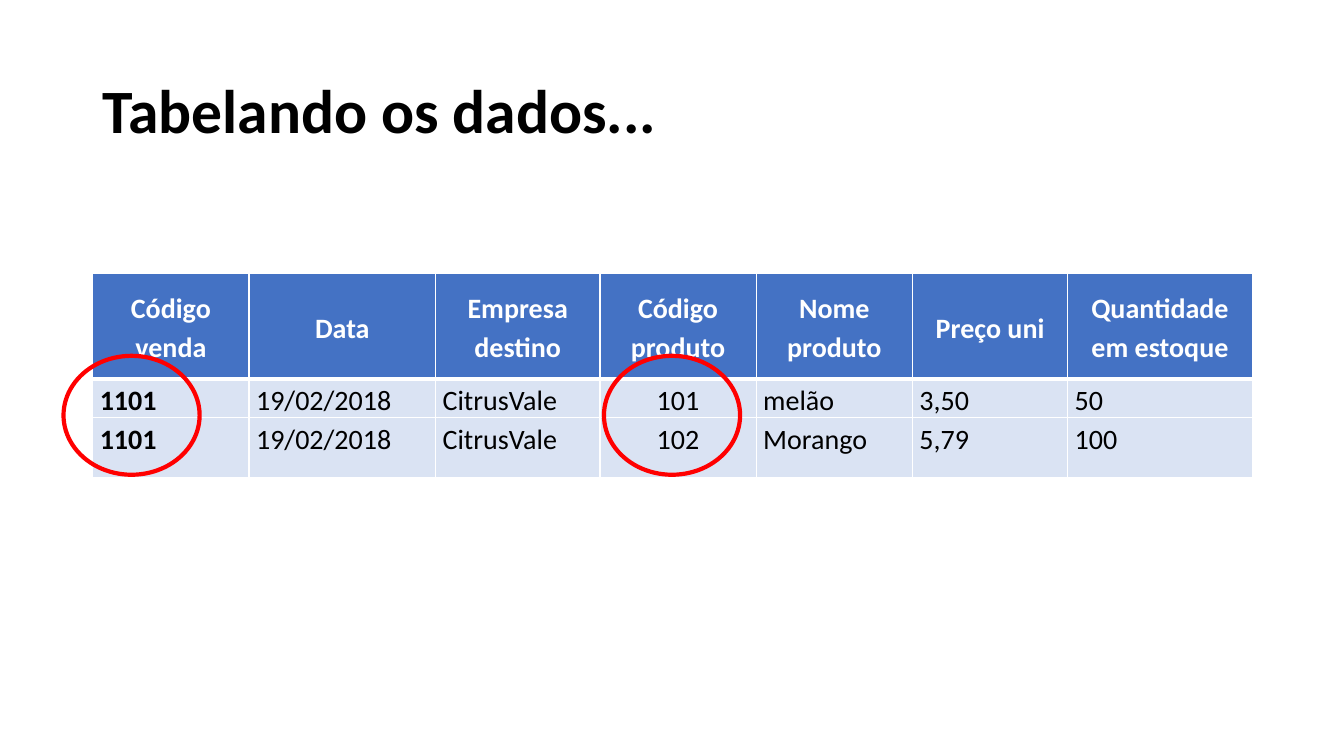
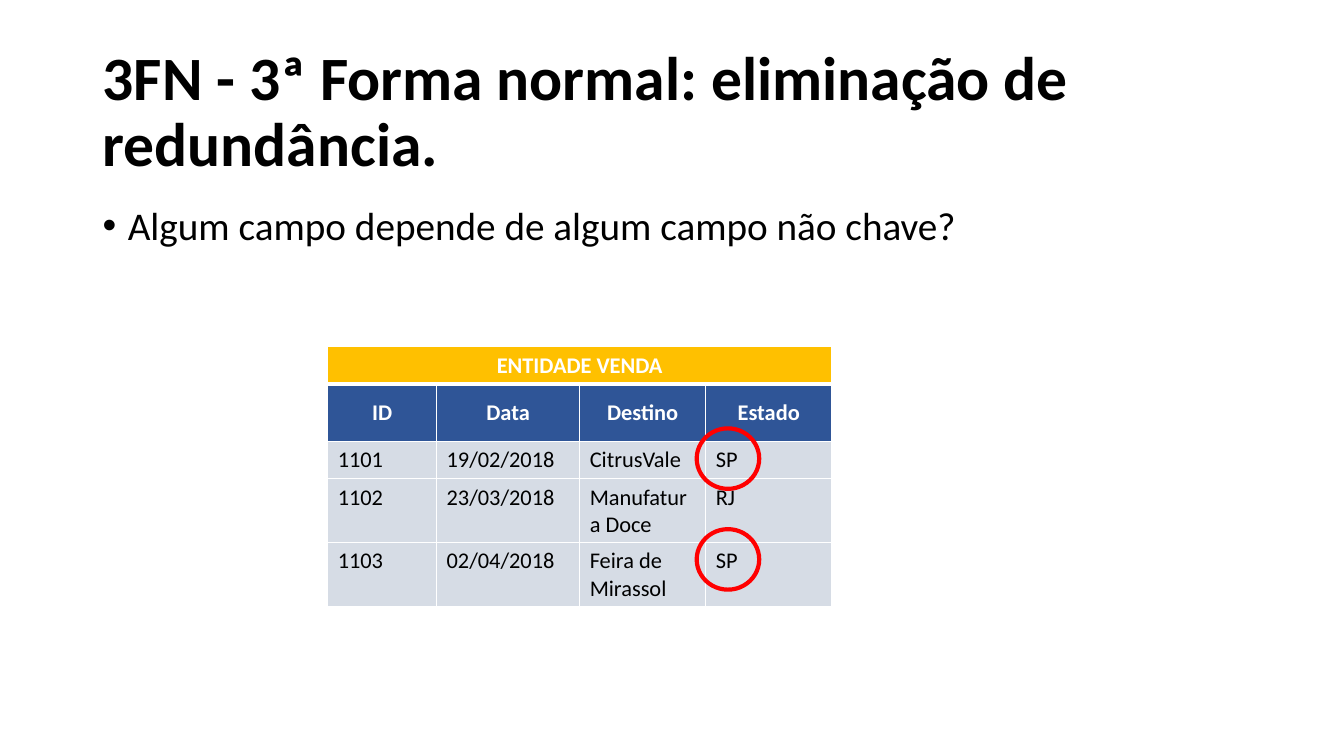
from dataclasses import dataclass

from lxml.etree import SubElement
from pptx import Presentation
from pptx.dml.color import RGBColor as RGB
from pptx.enum.shapes import MSO_SHAPE as Shape
from pptx.enum.text import MSO_ANCHOR as Anchor, PP_ALIGN as Align
from pptx.oxml.ns import qn
from pptx.util import Inches, Pt


@dataclass(frozen=True)
class Theme:
    font: str = "Calibri"
    title: int = 44
    body: int = 28
    large: int = 20
    small: int = 16
    black: str = "000000"
    white: str = "FFFFFF"
    red: str = "FF0000"
    blue: str = "4472C4"
    pale: str = "DAE3F3"
    gold: str = "FFC000"
    navy: str = "2F5597"
    grey: str = "D6DCE5"
    thin: int = 1
    thick: int = 3


def assign(item, values):
    for name, value in values.items():
        setattr(item, name, value)


class Deck:
    def __init__(self, theme):
        self.theme = theme
        self.prs = Presentation()
        assign(self.prs, {"slide_width": Inches(13.33),
                          "slide_height": Inches(7.5)})
        self.slide = None

    def page(self, title):
        self.slide = self.prs.slides.add_slide(self.prs.slide_layouts[6])
        self.box(title, (0.92, 0.4, 11.5, 1.45), self.theme.title,
                 bold=True, anchor=Anchor.MIDDLE)

    def label(self, par, text, size, color, bold, **form):
        par.text = text
        assign(par, form)
        assign(par.font, {"name": self.theme.font, "size": Pt(size),
                          "bold": bold})
        par.font.color.rgb = RGB.from_string(color)

    def box(self, text, place, size, bold=False, anchor=Anchor.TOP,
            bullet=False):
        frame = self.slide.shapes.add_textbox(*map(Inches, place)).text_frame
        assign(frame, {"word_wrap": True, "vertical_anchor": anchor})
        par = frame.paragraphs[0]
        if bullet:
            props = par._p.get_or_add_pPr()
            props.set("marL", str(Inches(0.25)))
            props.set("indent", str(-Inches(0.25)))
            SubElement(props, qn("a:buFont"), typeface="Arial")
            SubElement(props, qn("a:buChar"), char="•")
        self.label(par, text, size, self.theme.black, bold, line_spacing=0.9)

    def ring(self, *place):
        ring = self.slide.shapes.add_shape(Shape.OVAL, *map(Inches, place))
        ring.shadow.inherit = False
        ring.fill.background()
        ring.line.color.rgb = RGB.from_string(self.theme.red)
        ring.line.width = Pt(self.theme.thick)

    def edge(self, cell, row):
        """Draw white cell borders, with a thick rule under the first row."""
        props = cell._tc.get_or_add_tcPr()
        heavy = {"T": row == 1, "B": row == 0}
        for side in "LRTB":
            width = self.theme.thick if heavy.get(side) else self.theme.thin
            line = SubElement(props, qn(f"a:ln{side}"), w=str(Pt(width)))
            fill = SubElement(line, qn("a:solidFill"))
            SubElement(fill, qn("a:srgbClr"), val=self.theme.white)

    def table(self, place, cols, rows, data, heads, fill, size,
              bold=(), center=(), inset=None, form=None):
        """Fill a grid; heads lists the fills of its heading rows."""
        area = (*place, sum(cols), sum(rows))
        grid = self.slide.shapes.add_table(
            len(rows), len(cols), *map(Inches, area)).table
        grid.horz_banding = False
        for col, width in zip(grid.columns, cols):
            col.width = Inches(width)
        for row, height in zip(grid.rows, rows):
            row.height = Inches(height)
        for r, texts in enumerate(data):
            head = r < len(heads)
            for c in range(len(cols)):
                cell = grid.cell(r, c)
                self.edge(cell, r)
                cell.fill.solid()
                cell.fill.fore_color.rgb = RGB.from_string(
                    heads[r] if head else fill)
                cell.vertical_anchor = Anchor.MIDDLE if head else Anchor.TOP
                assign(cell, inset or {})
                if c < len(texts):
                    mid = head or c in center
                    self.label(cell.text_frame.paragraphs[0], texts[c], size,
                               self.theme.white if head else self.theme.black,
                               head or c in bold,
                               alignment=Align.CENTER if mid else Align.LEFT,
                               **(form or {}))
            if len(texts) == 1:
                grid.cell(r, 0).merge(grid.cell(r, len(cols) - 1))


def main():
    theme = Theme()
    deck = Deck(theme)

    deck.page("Tabelando os dados...")
    deck.table(
        (0.92, 2.71), (1.55, 1.85, 1.63, 1.55, 1.55, 1.54, 1.83),
        (1.05, 0.36, 0.59),
        [("Código venda", "Data", "Empresa destino", "Código produto",
          "Nome produto", "Preço uni", "Quantidade em estoque"),
         ("1101", "19/02/2018", "CitrusVale", "101", "melão", "3,50", "50"),
         ("1101", "19/02/2018", "CitrusVale", "102", "Morango", "5,79",
          "100")],
        [theme.blue], theme.pale, theme.large, bold=(0,), center=(3,),
        inset={"margin_left": Inches(0.07), "margin_right": Inches(0.07),
               "margin_top": 0, "margin_bottom": 0},
        form={"line_spacing": 1.15, "space_after": Pt(10)})
    for left in (0.63, 5.99):
        deck.ring(left, 3.53, 1.35, 1.18)

    deck.page("3FN - 3ª Forma normal: eliminação de redundância.")
    deck.box("Algum campo depende de algum campo não chave?",
             (0.92, 2, 11.5, 0.75), theme.body, bullet=True)
    deck.table(
        (3.25, 3.44), (1.08, 1.42, 1.25, 1.25),
        (0.37, 0.57, 0.37, 0.63, 0.63),
        [("ENTIDADE VENDA",),
         ("ID", "Data", "Destino", "Estado"),
         ("1101", "19/02/2018", "CitrusVale", "SP"),
         ("1102", "23/03/2018", "Manufatura Doce", "RJ"),
         ("1103", "02/04/2018", "Feira de Mirassol", "SP")],
        [theme.gold, theme.navy], theme.grey, theme.small)
    for top in (4.25, 5.25):
        deck.ring(6.91, top, 0.62, 0.6)

    deck.prs.save("out.pptx")


if __name__ == "__main__":
    main()
